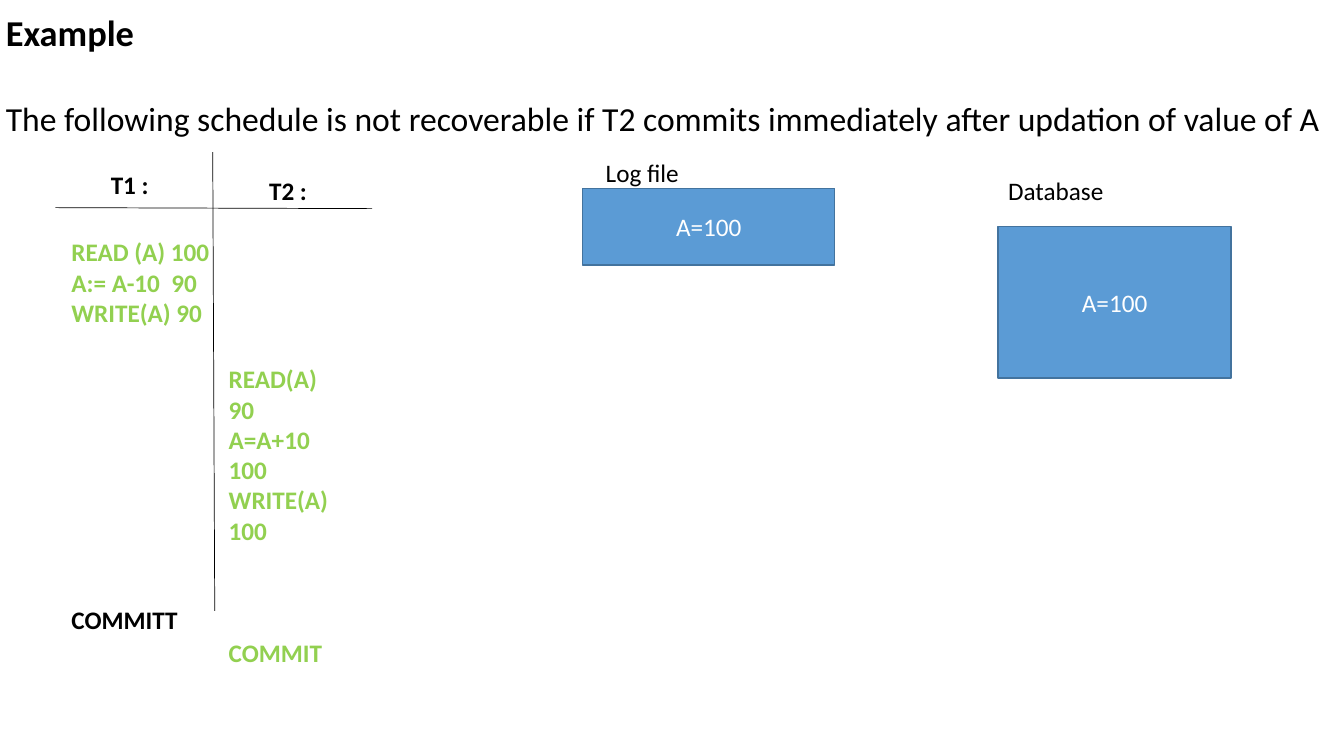
from pptx import Presentation
from pptx.dml.color import RGBColor
from pptx.enum.shapes import MSO_CONNECTOR, MSO_SHAPE
from pptx.enum.text import MSO_ANCHOR, PP_ALIGN
from pptx.oxml.ns import qn
from pptx.util import Inches, Pt
from lxml import etree

LEFT, CENTER = PP_ALIGN.LEFT, PP_ALIGN.CENTER
BLACK, GREEN, WHITE = "000000", "92D050", "FFFFFF"
BLUE, BLUE_EDGE = "5B9BD5", "43739E"
FONT = "Calibri"
LINE_PITCH = 1.22  # line height of the font, as a share of its size

# Content: each paragraph is (text, size, colour, bold, empty lines above)
HEADING = [
    ("Example", 26, BLACK, True, 0),
    ("The following schedule is not recoverable if T2 commits immediately "
     "after updation of value of A", 24, BLACK, False, 26 / 24),
]
T1_STEPS = [
    ("READ (A) 100", 18, GREEN, True, 0),
    ("A:= A-10  90", 18, GREEN, True, 0),
    ("WRITE(A) 90", 18, GREEN, True, 0),
    ("COMMITT", 18, BLACK, True, 9),
]
T2_STEPS = [
    ("READ(A) 90", 18, GREEN, True, 0),
    ("A=A+10 100", 18, GREEN, True, 0),
    ("WRITE(A) 100", 18, GREEN, True, 0),
    ("COMMIT", 18, GREEN, True, 3),
]

# Text boxes: (left, top, width, height), alignment, paragraphs
TEXTS = [
    ((-0.04, 0.05, 13.33, 1.38), LEFT, HEADING),
    ((0.56, 1.63, 1.51, 0.4), CENTER, [("T1 : ", 18, BLACK, True, 0)]),
    ((2.13, 1.69, 1.51, 0.4), CENTER, [("T2 : ", 18, BLACK, True, 0)]),
    ((0.61, 2.3, 2.43, 4.34), LEFT, T1_STEPS),
    ((2.17, 3.56, 1.36, 3.43), LEFT, T2_STEPS),
    ((5.91, 1.51, 2.37, 0.4), LEFT, [("Log file", 18, BLACK, False, 0)]),
    ((9.9, 1.69, 1.75, 0.4), LEFT, [("Database", 18, BLACK, False, 0)]),
]

# Schedule rules: start x, start y, end x, end y
RULES = [(2.11, 1.51, 2.13, 6.06), (0.55, 2.06, 3.69, 2.07)]

# Log file and database
STORES = [(5.78, 1.87, 2.5, 0.76), (9.9, 2.25, 2.31, 1.5)]
STORE_TEXT = [("A=100", 18, WHITE, False, 0)]


def color(value):
    return RGBColor.from_string(value)


def write(tf, paragraphs, align):
    tf.word_wrap = True
    for i, (text, size, fill, bold, gap) in enumerate(paragraphs):
        p = tf.paragraphs[0] if i == 0 else tf.add_paragraph()
        p.alignment = align
        if gap:
            p.space_before = Pt(round(gap * size * LINE_PITCH, 1))
        r = p.add_run()
        r.text = text
        r.font.name = FONT
        r.font.size = Pt(size)
        r.font.bold = bold
        r.font.color.rgb = color(fill)


prs = Presentation()
prs.slide_width, prs.slide_height = Inches(13.33), Inches(7.5)
s = prs.slides.add_slide(prs.slide_layouts[6])

# Lines of the schedule
for rule in RULES:
    line = s.shapes.add_connector(MSO_CONNECTOR.STRAIGHT, *map(Inches, rule))
    line.line.color.rgb = color(BLACK)
    line.line.width = Pt(0.5)
    etree.SubElement(line._element.spPr, qn("a:effectLst"))

# Stored values
for box in STORES:
    sp = s.shapes.add_shape(MSO_SHAPE.RECTANGLE, *map(Inches, box))
    sp.shadow.inherit = False
    sp.fill.solid()
    sp.fill.fore_color.rgb = color(BLUE)
    sp.line.color.rgb = color(BLUE_EDGE)
    sp.line.width = Pt(1)
    sp.text_frame.vertical_anchor = MSO_ANCHOR.MIDDLE
    write(sp.text_frame, STORE_TEXT, CENTER)

# Heading, labels and steps
for box, align, paragraphs in TEXTS:
    sp = s.shapes.add_textbox(*map(Inches, box))
    write(sp.text_frame, paragraphs, align)

prs.save("out.pptx")
